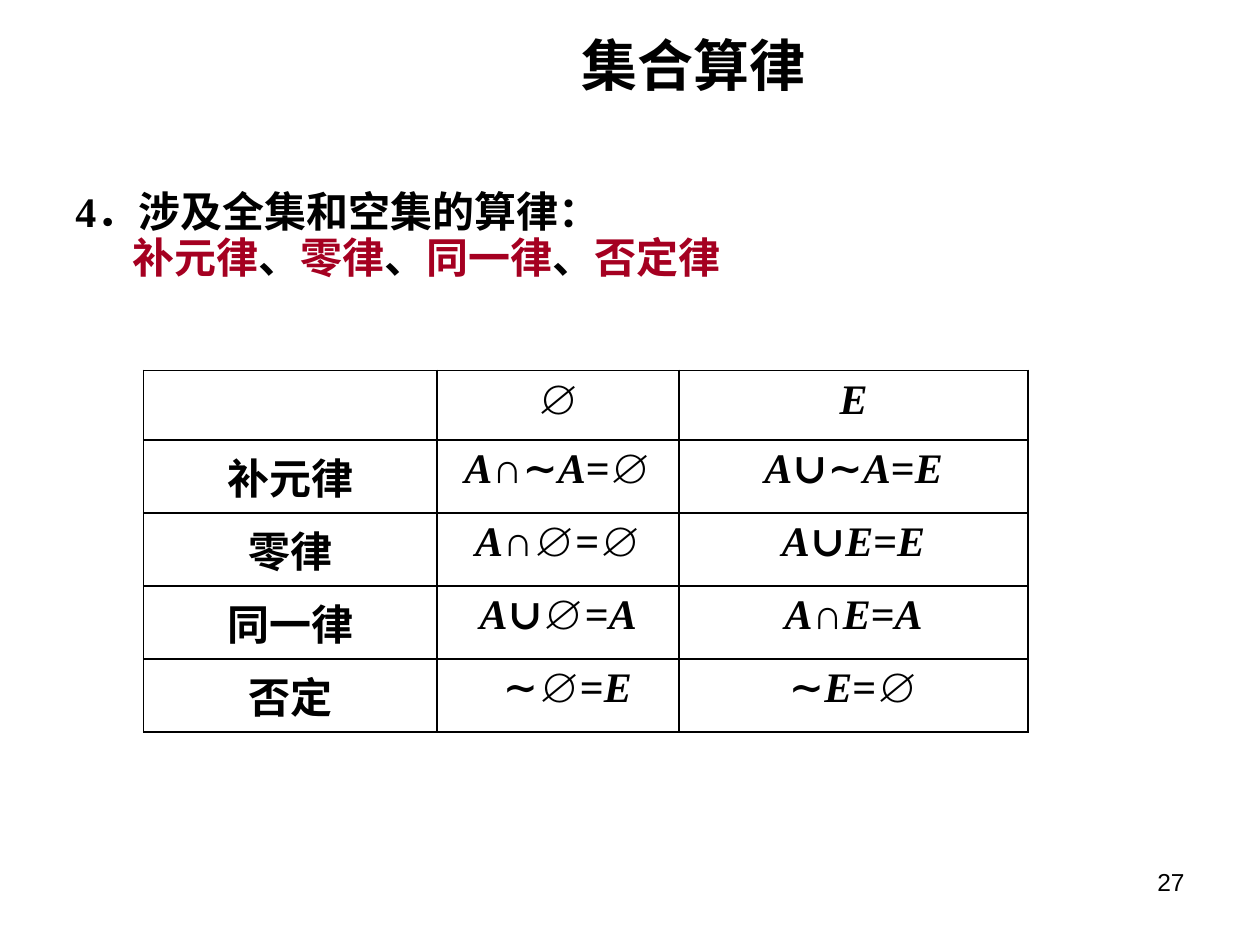
from itertools import groupby

from pptx import Presentation
from pptx import util as u
from pptx.dml.color import RGBColor
from pptx.enum import text
from pptx.oxml.ns import qn
from lxml import etree

COLORS = {"ink": "000000", "accent": "A50021"}
LATIN, SANS, CJK = "Times New Roman", "Arial", "Noto Sans CJK SC"
CENTER = text.PP_ALIGN.CENTER

TITLE = "集合算律"
HEADING = "4．涉及全集和空集的算律："
LAWS = ["补元律", "零律", "同一律", "否定律"]
ROWS = [
    ("", "∅", "E"),
    ("补元律", "A∩∼A=∅", "A∪∼A=E"),
    ("零律", "A∩∅=∅", "A∪E=E"),
    ("同一律", "A∪∅=A", "A∩E=A"),
    ("否定", "∼∅=E", "∼E=∅"),
]
PAGE_NUMBER = "27"
COLUMN_WIDTHS = [2.33, 1.92, 2.77]
HEADER_HEIGHT, ROW_HEIGHT = 0.55, 0.58
SHIFTED_CELL, SHIFT = (4, 1), 0.42


def add_span(para, words, font=LATIN, color="ink", east_asian=None, **format_values):
    span = para.add_run()
    span.text = words
    values = {"name": font, "size": u.Pt(24), "bold": True, **format_values}
    for name, value in values.items():
        setattr(span.font, name, value)
    span.font.color.rgb = RGBColor.from_string(COLORS[color])
    if east_asian:
        latin = span.font._element.find(qn("a:latin"))
        latin.addnext(latin.makeelement(qn("a:ea"), {"typeface": east_asian}))


def add_formula(para, formula):
    """Set the letters of a formula in italics and its operators upright."""
    for is_letter, symbols in groupby(formula, str.isalpha):
        add_span(para, "".join(symbols), italic=is_letter)


def add_borders(cell):
    props = cell._tc.get_or_add_tcPr()
    for position, side in enumerate(("lnL", "lnR", "lnT", "lnB")):
        line = props.makeelement(qn(f"a:{side}"), {"w": str(u.Pt(1))})
        fill = etree.SubElement(line, qn("a:solidFill"))
        etree.SubElement(fill, qn("a:srgbClr"), val=COLORS["ink"])
        props.insert(position, line)


def add_text_box(page, *place):
    frame = page.shapes.add_textbox(*map(u.Inches, place)).text_frame
    frame.word_wrap = True
    return frame


def add_title(page):
    title = page.shapes.title
    place = {"left": 2.16, "top": 0.28, "width": 6.69, "height": 0.46}
    for name, value in place.items():
        setattr(title, name, u.Inches(value))
    frame = title.text_frame
    frame.auto_size = text.MSO_AUTO_SIZE.NONE
    frame.vertical_anchor = text.MSO_ANCHOR.MIDDLE
    para = frame.paragraphs[0]
    para.alignment = CENTER
    add_span(para, TITLE, SANS, east_asian=CJK, size=u.Pt(32))


def add_introduction(page):
    frame = add_text_box(page, 0.5, 1.47, 9, 0.94)
    heading, laws = frame.paragraphs[0], frame.add_paragraph()
    heading.line_spacing = laws.line_spacing = 0.9
    add_span(heading, HEADING, east_asian=CJK)
    laws._p.get_or_add_pPr().set("marL", str(u.Inches(0.45)))
    for index, law in enumerate(LAWS):
        if index:
            add_span(laws, "、", east_asian=CJK)
        add_span(laws, law, color="accent", east_asian=CJK)


def add_law_table(page):
    height = HEADER_HEIGHT + ROW_HEIGHT * (len(ROWS) - 1)
    place = map(u.Inches, (1.14, 2.94, sum(COLUMN_WIDTHS), height))
    table = page.shapes.add_table(len(ROWS), len(COLUMN_WIDTHS), *place).table
    table.first_row = table.horz_banding = False
    for column, width in zip(table.columns, COLUMN_WIDTHS):
        column.width = u.Inches(width)
    for r, row in enumerate(ROWS):
        table.rows[r].height = u.Inches(ROW_HEIGHT if r else HEADER_HEIGHT)
        for c, words in enumerate(row):
            cell = table.cell(r, c)
            cell.fill.background()
            add_borders(cell)
            para = cell.text_frame.paragraphs[0]
            if (r, c) == SHIFTED_CELL:
                para._p.get_or_add_pPr().set("marL", str(u.Inches(SHIFT)))
            else:
                para.alignment = CENTER
            if c:
                add_formula(para, words)
            elif words:
                add_span(para, words, CJK, east_asian=CJK)


def add_page_number(page):
    para = add_text_box(page, 7.17, 6.83, 2.33, 0.52).paragraphs[0]
    para.alignment = text.PP_ALIGN.RIGHT
    add_span(para, PAGE_NUMBER, SANS, size=u.Pt(14), bold=False)


def main():
    deck = Presentation()
    deck.slide_width, deck.slide_height = u.Inches(10), u.Inches(7.5)
    page = deck.slides.add_slide(deck.slide_layouts.get_by_name("Title Only"))
    add_title(page)
    add_introduction(page)
    add_law_table(page)
    add_page_number(page)
    deck.save("out.pptx")


if __name__ == "__main__":
    main()
